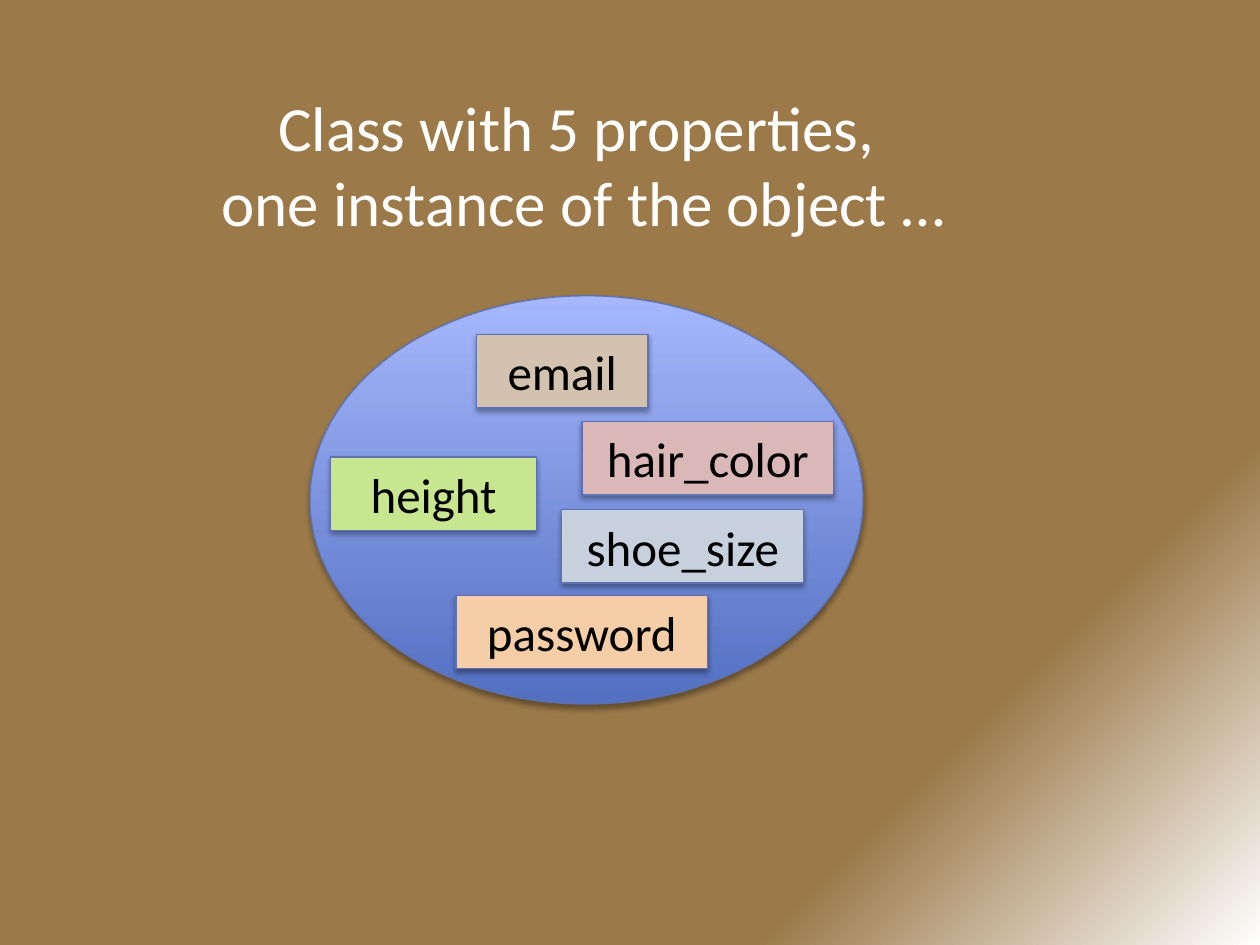
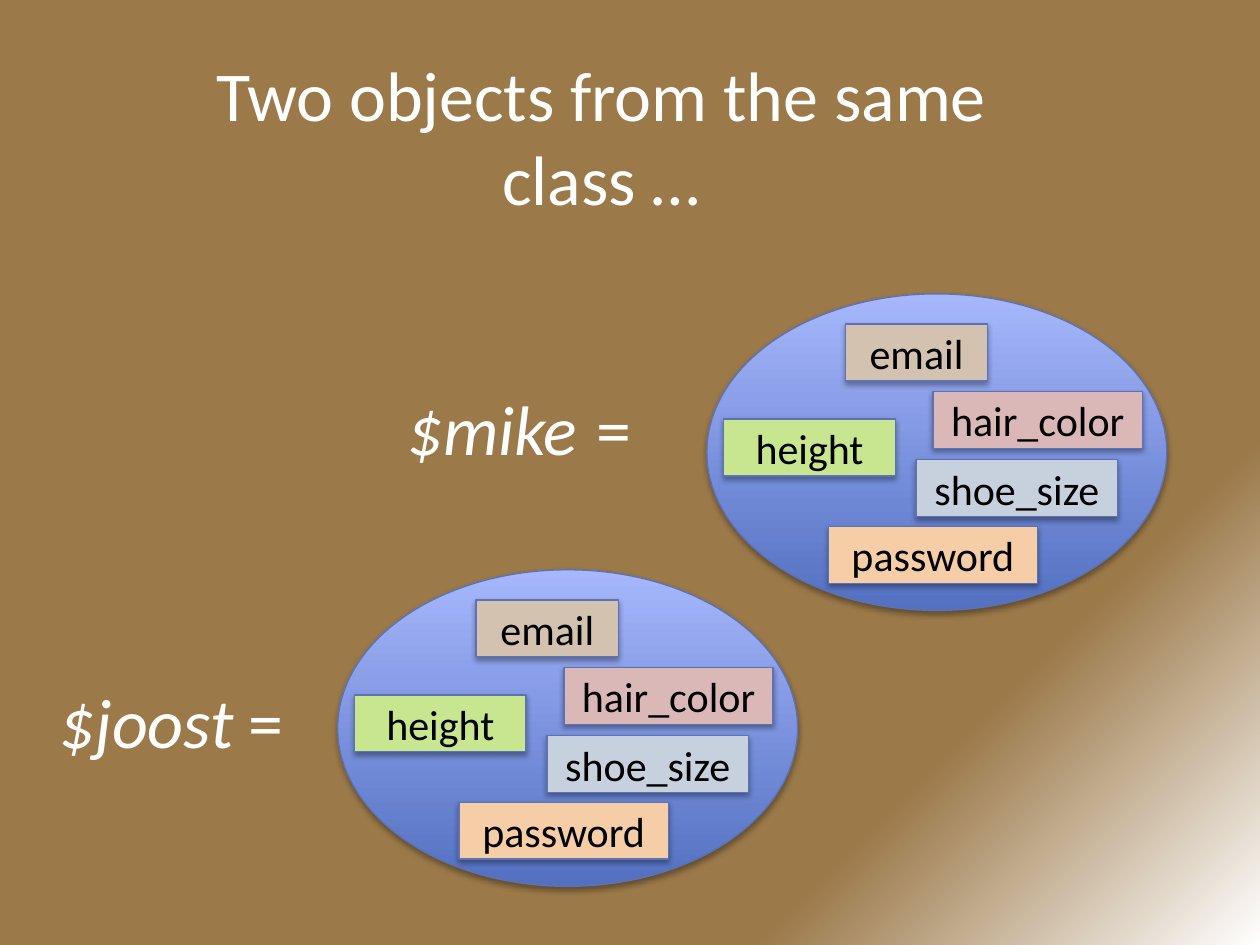
from lxml.etree import SubElement
from pptx import Presentation
from pptx.dml.color import RGBColor
from pptx.enum.shapes import MSO_SHAPE
from pptx.enum.text import MSO_ANCHOR, MSO_AUTO_SIZE, PP_ALIGN
from pptx.oxml import parse_xml
from pptx.oxml.ns import nsdecls, qn
from pptx.util import Inches, Pt

FONT = "Calibri"
WHITE, BLACK, BROWN = "FFFFFF", "000000", "9B7949"
OUTLINE, OVAL_DARK, OVAL_LIGHT = "5C72B2", "5370C1", "A6B7FC"

SLIDE = (0, 0, Inches(10), Inches(7.5))

# Name, fill, then left, top and width in percent of the class oval
PROPERTY_HEIGHT = 18
PROPERTIES = [
    ("height", "C7E68F", 3.7, 39.5, 37.3),
    ("email", "D4C2B0", 30.1, 9.5, 31),
    ("password", "F5CEA7", 26.4, 73.4, 45.5),
    ("hair_color", "DAB8B8", 49.2, 30.8, 45.5),
    ("shoe_size", "C7D1DE", 45.5, 52.4, 43.8),
]

BACKGROUND = f"""
<a:gradFill {nsdecls("a")} rotWithShape="1">
  <a:gsLst>
    <a:gs pos="77000"><a:srgbClr val="{BROWN}"><a:alpha val="92000"/></a:srgbClr></a:gs>
    <a:gs pos="100000"><a:srgbClr val="{WHITE}"/></a:gs>
  </a:gsLst>
  <a:path path="circle"><a:fillToRect r="100000" b="100000"/></a:path>
</a:gradFill>"""


def color(hex_value):
    return RGBColor.from_string(hex_value)


def area(frame, left, top, width, height):
    """Turn percentages of a frame into an absolute left, top, width, height."""
    x, y, w, h = frame
    return (int(x + w * left / 100), int(y + h * top / 100),
            int(w * width / 100), int(h * height / 100))


def new_slide(prs):
    slide = prs.slides.add_slide(prs.slide_layouts[6])
    slide.background.fill.solid()
    bg = slide.element.find(".//" + qn("p:bgPr"))
    bg.replace(bg[0], parse_xml(BACKGROUND))
    return slide


def write(p, text, size, hex_value, italic=False):
    r = p.add_run()
    r.text = text
    r.font.name = FONT
    r.font.size = Pt(size)
    r.font.italic = italic
    r.font.color.rgb = color(hex_value)


def add_text(slide, box, lines, size, align=PP_ALIGN.CENTER):
    """Add a white text box; each line is a list of (text, italic) runs."""
    tf = slide.shapes.add_textbox(*area(SLIDE, *box)).text_frame
    tf.word_wrap = True
    tf.auto_size = MSO_AUTO_SIZE.SHAPE_TO_FIT_TEXT
    for i, runs in enumerate(lines):
        p = tf.add_paragraph() if i else tf.paragraphs[0]
        p.alignment = align
        for text, italic in runs:
            write(p, text, size, WHITE, italic=italic)


def add_raised_shape(shapes, kind, box):
    """Add a shape with the shared outline and a soft shadow below it."""
    sp = shapes.add_shape(kind, *box)
    sp.line.color.rgb = color(OUTLINE)
    sp.line.width = Pt(0.75)
    sp.shadow.inherit = False
    effects = sp.element.spPr.find(qn("a:effectLst"))
    shadow = SubElement(effects, qn("a:outerShdw"), blurRad="40000",
                        dist="23000", dir="5400000", rotWithShape="0")
    tone = SubElement(shadow, qn("a:srgbClr"), val=BLACK)
    SubElement(tone, qn("a:alpha"), val="35000")
    return sp


def add_class_oval(slide, box, size):
    """Add an oval grouped with its property boxes, scaled to the oval."""
    frame = area(SLIDE, *box)
    shapes = slide.shapes.add_group_shape().shapes
    oval = add_raised_shape(shapes, MSO_SHAPE.OVAL, frame)
    oval.fill.gradient()
    oval.fill.gradient_angle = 90
    for stop, tone in zip(oval.fill.gradient_stops, (OVAL_DARK, OVAL_LIGHT)):
        stop.color.rgb = color(tone)

    for name, fill, left, top, width in PROPERTIES:
        sp = add_raised_shape(shapes, MSO_SHAPE.RECTANGLE,
                              area(frame, left, top, width, PROPERTY_HEIGHT))
        sp.fill.solid()
        sp.fill.fore_color.rgb = color(fill)
        tf = sp.text_frame
        tf.vertical_anchor = MSO_ANCHOR.MIDDLE
        p = tf.paragraphs[0]
        p.alignment = PP_ALIGN.CENTER
        write(p, name, size, BLACK)


def add_single_instance(prs):
    slide = new_slide(prs)
    add_class_oval(slide, (24.6, 31.3, 43.9, 43.2), 28)
    add_text(slide, (15.4, 8.7, 61.8, 17.5),
             [[("Class with 5 properties, ", False)],
              [("one instance of the object …", False)]], 36)


def add_two_objects(prs):
    slide = new_slide(prs)
    objects = [
        ((26.8, 60.3), (-5.1, 71.1, 28.6, 10.3), [("$joost\t", True), ("=", False)]),
        ((56.1, 31.1), (29.7, 40.1, 21.4, 10.3), [("$mike", True), ("\t=", False)]),
    ]
    for corner, label_box, label in objects:
        add_class_oval(slide, (*corner, 36.5, 33.5), 24)
        add_text(slide, label_box, [label], 40, align=PP_ALIGN.RIGHT)
    add_text(slide, (16, 4.8, 63.4, 19.3),
             [[("Two objects from the same class …", False)]], 40)


def main():
    prs = Presentation()
    prs.slide_width, prs.slide_height = SLIDE[2:]
    add_single_instance(prs)
    add_two_objects(prs)
    prs.save("out.pptx")


if __name__ == "__main__":
    main()
